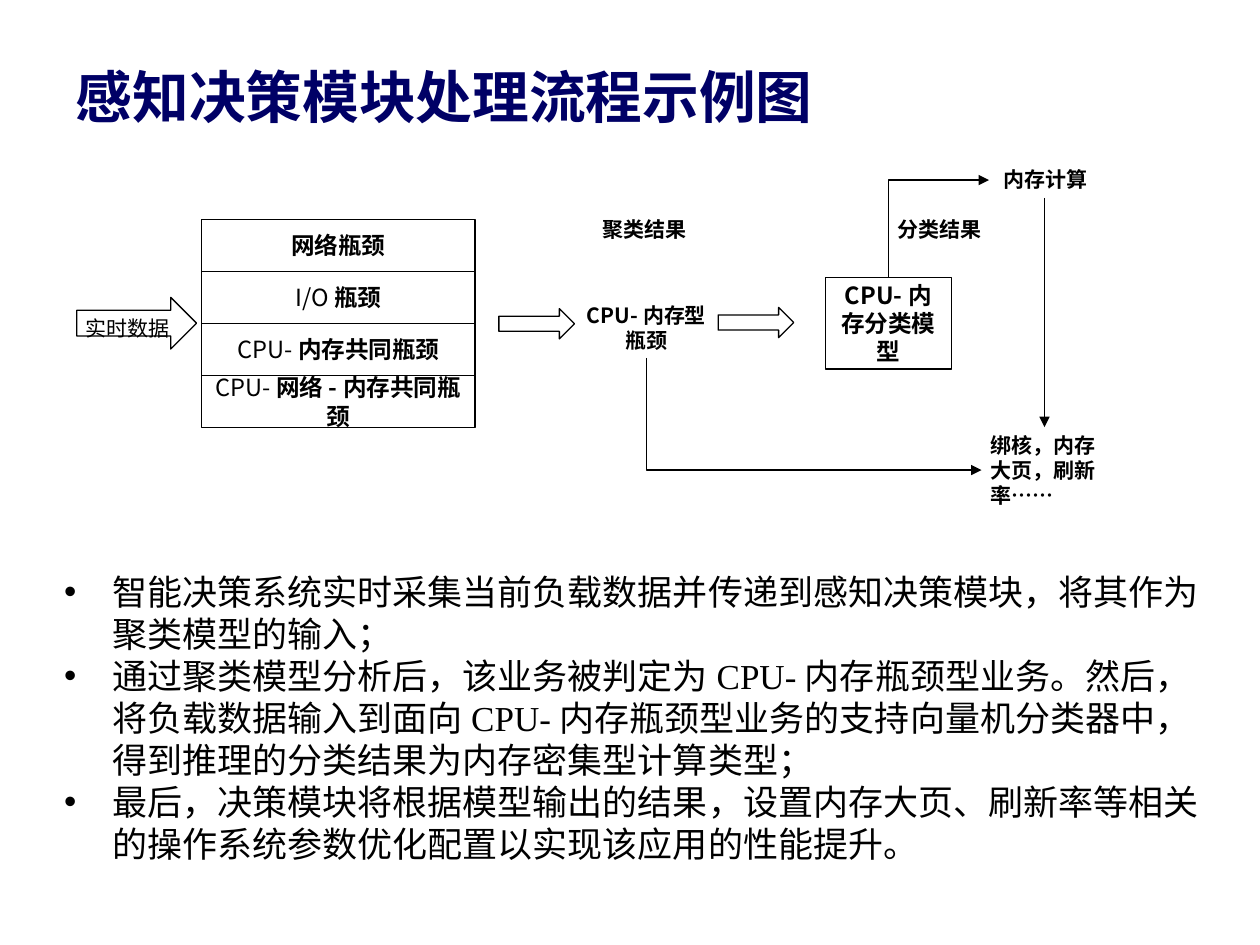
from lxml import etree
from pptx import Presentation, util as u
from pptx.dml.color import RGBColor
from pptx.enum import shapes, text
from pptx.oxml import ns

SCALE = 9144
COLORS = {"title": "000066", "ink": "000000"}
CJK = "Noto Sans CJK SC"
LEFT, CENTER = text.PP_ALIGN.LEFT, text.PP_ALIGN.CENTER
TOP, MIDDLE = text.MSO_ANCHOR.TOP, text.MSO_ANCHOR.MIDDLE


def px(*values):
    return [u.Emu(round(v * SCALE)) for v in values]


class Deck:
    """Holds the style and the current slide, and adds each kind of element."""

    def __init__(self, prs):
        self.s = prs.slides.add_slide(prs.slide_layouts[1])

    def place(self, sp, box):
        sp.left, sp.top, sp.width, sp.height = px(*box)

    def style(self, p, size, font=CJK, color="ink", bold=False, align=LEFT):
        p.alignment = align
        p.line_spacing = u.Pt(round(size * 1.2, 1))
        p.space_before = u.Pt(0)
        p.font.size = u.Pt(size)
        p.font.bold = bold
        p.font.name = font
        p.font.color.rgb = RGBColor.from_string(COLORS[color])
        rpr = p._p.pPr.find(ns.qn("a:defRPr"))
        etree.SubElement(rpr, ns.qn("a:ea"), typeface=CJK)

    def frame(self, tf, margins, anchor):
        tf.word_wrap = True
        tf.auto_size = text.MSO_AUTO_SIZE.NONE
        tf.vertical_anchor = anchor
        tf.margin_left, tf.margin_top, tf.margin_right, tf.margin_bottom = px(*margins)

    def caption(self, sp, words, size, plain="", bold=True, align=CENTER, anchor=MIDDLE):
        tf = sp.text_frame
        self.frame(tf, (7, 4, 7, 4), anchor)
        p = tf.paragraphs[0]
        self.style(p, size, bold=bold and not plain, align=align)
        if plain:
            p.add_run().text = plain
        r = p.add_run()
        r.text = words
        if plain:
            r.font.bold = True

    def title(self, box, words):
        sp = self.s.shapes.title
        self.place(sp, box)
        sp.text_frame.text = words
        self.frame(sp.text_frame, (0, 0, 0, 0), MIDDLE)
        self.style(sp.text_frame.paragraphs[0], 32.4, "Lato", "title", True)

    def bullets(self, box, items):
        sp = self.s.placeholders[1]
        self.place(sp, box)
        tf = sp.text_frame
        tf.text = "\n".join(items)
        self.frame(tf, (10, 5, 10, 5), TOP)
        for p in tf.paragraphs:
            self.style(p, 20, "Times New Roman")
            margin, indent = px(88, -38)
            p._p.pPr.set("marL", str(margin))
            p._p.pPr.set("indent", str(indent))

    def shape(self, kind, box):
        sp = self.s.shapes.add_shape(kind, *px(*box))
        sp.shadow.inherit = False
        sp.fill.background()
        self.outline(sp)
        return sp

    def outline(self, sp):
        sp.line.color.rgb = RGBColor.from_string(COLORS["ink"])
        sp.line.width = u.Pt(0.75)

    def box(self, box, words, plain=""):
        self.caption(self.shape(shapes.MSO_SHAPE.RECTANGLE, box), words, 13.5, plain)

    def block_arrow(self, box):
        return self.shape(shapes.MSO_SHAPE.RIGHT_ARROW, box)

    def label(self, box, words, align=CENTER):
        self.caption(self.s.shapes.add_textbox(*px(*box)), words, 12, align=align)

    def arrow(self, x1, y1, x2, y2, kind=shapes.MSO_CONNECTOR.STRAIGHT):
        c = self.s.shapes.add_connector(kind, *px(x1, y1, x2, y2))
        self.outline(c)
        etree.SubElement(c.get_or_add_ln(), ns.qn("a:tailEnd"), type="triangle")
        etree.SubElement(c._element.spPr, ns.qn("a:effectLst"))
        return c

    def corner_arrow(self, x1, y1, x2, y2):
        """Goes vertically first, then right, as a quarter-turned elbow."""
        cx, cy = (x1 + x2) / 2, (y1 + y2) / 2
        a, b = abs(y2 - y1) / 2, (x2 - x1) / 2
        down = y2 > y1
        b = -b if down else b
        c = self.arrow(cx + a, cy + b, cx - a, cy - b, shapes.MSO_CONNECTOR.ELBOW)
        spPr = c._element.spPr
        spPr.find(ns.qn("a:prstGeom")).set("prst", "bentConnector2")
        spPr.find(ns.qn("a:xfrm")).set("rot", str((270 if down else 90) * 60000))


def main():
    prs = Presentation()
    prs.slide_width, prs.slide_height = px(1000, 750)
    d = Deck(prs)
    d.title((60, 49, 880, 54), "感知决策模块处理流程示例图")

    bottlenecks = [("", "网络瓶颈"), ("I/O", "瓶颈"),
                   ("CPU-", "内存共同瓶颈"), ("CPU-", "网络-内存共同瓶颈")]
    row = 41.33
    for i, (plain, words) in enumerate(bottlenecks):
        d.box((160, 174 + i * row, 217, row), words, plain)
    d.box((655, 220, 100, 73), "CPU-内存分类模型")

    source = d.block_arrow((61, 236, 95, 41))
    d.caption(source, "实时数据", 12, bold=False, align=LEFT, anchor=TOP)
    for x, y in ((396, 245), (570, 244)):
        d.block_arrow((x, y, 60, 24))

    d.label((457, 236, 112, 48), "CPU-内存型瓶颈")
    d.label((785, 129, 89, 27), "内存计算")
    d.label((779, 339, 100, 68), "绑核，内存大页，刷新率……", LEFT)
    d.label((701, 168, 89, 27), "分类结果")
    d.label((467, 168, 89, 27), "聚类结果")

    d.corner_arrow(705, 220, 785, 143)
    d.corner_arrow(513, 284, 779, 373)
    d.arrow(829, 157, 829, 339)

    d.bullets((-9, 448, 980, 246), [
        "智能决策系统实时采集当前负载数据并传递到感知决策模块，将其作为聚类模型的输入；",
        "通过聚类模型分析后，该业务被判定为CPU-内存瓶颈型业务。然后，将负载数据输入到面向"
        "CPU-内存瓶颈型业务的支持向量机分类器中，得到推理的分类结果为内存密集型计算类型；",
        "最后，决策模块将根据模型输出的结果，设置内存大页、刷新率等相关的操作系统参数优化"
        "配置以实现该应用的性能提升。",
    ])
    prs.save("out.pptx")


if __name__ == "__main__":
    main()
